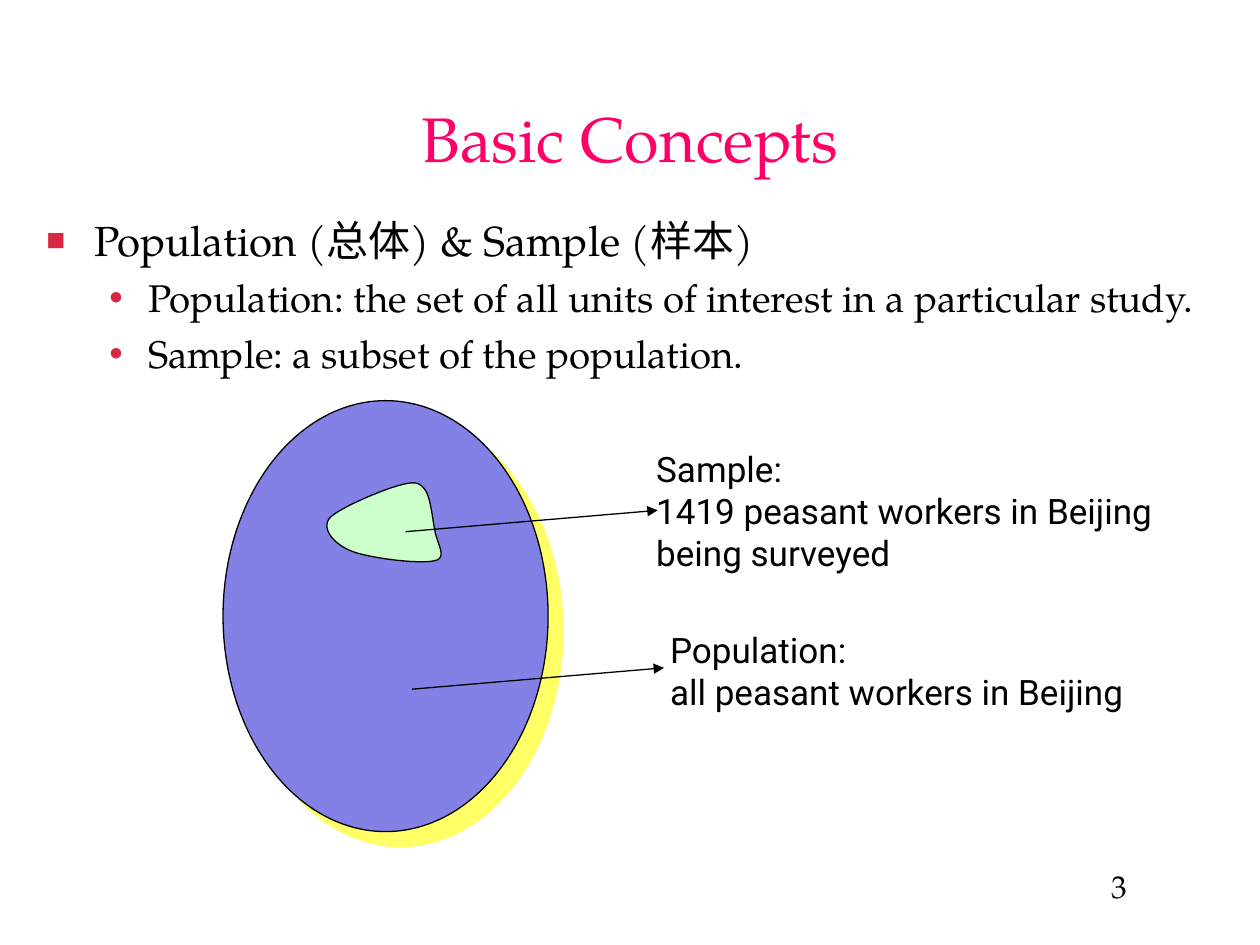
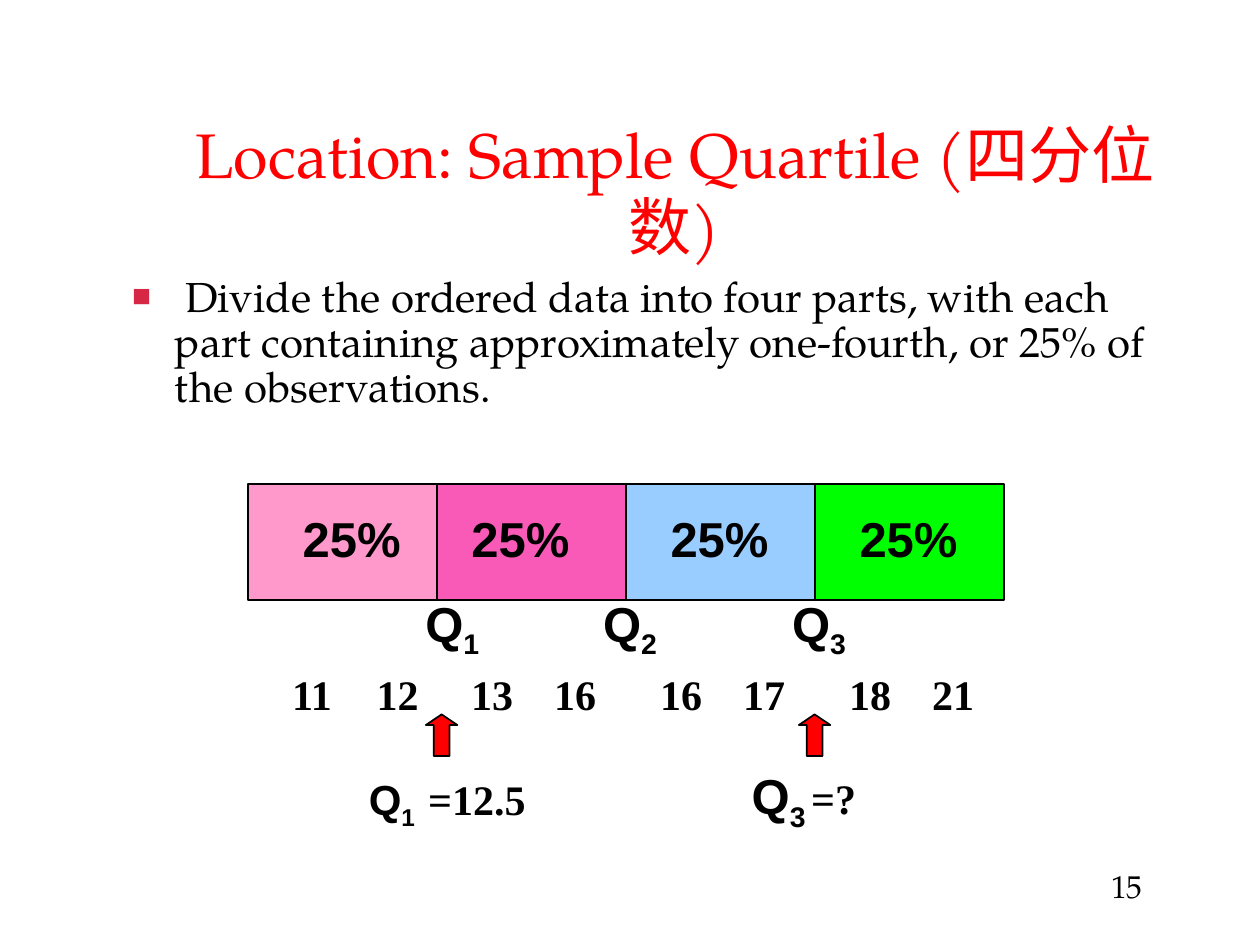
"""Build two statistics slides: basic concepts and sample quartiles."""
from dataclasses import dataclass
from typing import NamedTuple, Optional

from lxml.etree import SubElement
from pptx import Presentation
from pptx.dml.color import RGBColor
from pptx.enum.shapes import MSO_CONNECTOR as Connector, MSO_SHAPE as Preset
from pptx.enum.text import MSO_ANCHOR as Anchor, MSO_AUTO_SIZE as AutoSize, PP_ALIGN as Align
from pptx.oxml.ns import qn
from pptx.util import Emu, Pt

PX = 9144
TITLE_ONLY = 5


@dataclass(frozen=True)
class Theme:
    """Colours, fonts and type sizes of the deck."""
    ink: str = "000000"
    bullet: str = "D62845"
    pink_title: str = "FF0066"
    red: str = "FF0000"
    population: str = "8381E5"
    shadow: str = "FFFF66"
    sample: str = "CCFFCC"
    quarters: tuple = ("FF99CC", "F95AB7", "99CCFF", "00FF00")
    serif: str = "TeX Gyre Pagella"
    sans: str = "Roboto"
    label: str = "Arial"
    data: str = "Times New Roman"
    title_size: int = 36
    lead_size: int = 24
    detail_size: int = 22
    note_size: int = 20
    page_size: int = 18
    quarter_size: int = 28
    thin: float = 0.75
    medium: float = 1


THEME = Theme()


class Box(NamedTuple):
    """A rectangle in px."""
    left: int
    top: int
    width: int
    height: int


class Style(NamedTuple):
    """Type style of a run."""
    font: str
    size: int
    color: str = THEME.ink
    bold: bool = False


class Bullet(NamedTuple):
    """Bullet mark with its text margin and hanging width in px."""
    mark: str
    percent: int
    margin: int
    hang: int


class Para(NamedTuple):
    """A paragraph with an optional subscript run."""
    text: str
    style: Style
    align: Align = Align.LEFT
    subscript: str = ""
    bullet: Optional[Bullet] = None
    before: float = 0
    spacing: Optional[float] = None
    tabs: tuple = ()


class Label(NamedTuple):
    """A text box holding one paragraph."""
    box: Box
    para: Para


BODY = Style(THEME.serif, THEME.lead_size)
DETAIL = Style(THEME.serif, THEME.detail_size)
NOTE = Style(THEME.sans, THEME.note_size)
PAGE = Style(THEME.serif, THEME.page_size)
QUARTER = Style(THEME.label, THEME.quarter_size, bold=True)
SMALL_QUARTILE = Style(THEME.label, THEME.lead_size, bold=True)
DATA = Style(THEME.data, THEME.lead_size, bold=True)


def emu(px: float) -> Emu:
    """Turn px into EMU."""
    return Emu(round(px * PX))


def place(box: Box) -> list:
    """Give a box as EMU lengths."""
    return [emu(length) for length in box]


def add_run(paragraph, text: str, style: Style, subscript: bool = False) -> None:
    """Add one styled run."""
    run = paragraph.add_run()
    run.text = text
    font = run.font
    font.name, font.size, font.bold = style.font, Pt(style.size), style.bold
    font.color.rgb = RGBColor.from_string(style.color)
    if subscript:
        font._element.set("baseline", "-25000")


def add_bullet(properties, bullet: Bullet) -> None:
    """Give a paragraph its hanging bullet."""
    properties.set("marL", str(emu(bullet.margin)))
    properties.set("indent", str(-emu(bullet.hang)))
    color = SubElement(properties, qn("a:buClr"))
    SubElement(color, qn("a:srgbClr"), val=THEME.bullet)
    SubElement(properties, qn("a:buSzPct"), val=str(bullet.percent * 1000))
    SubElement(properties, qn("a:buFont"), typeface=THEME.label)
    SubElement(properties, qn("a:buChar"), char=bullet.mark)


def fill_text(frame, paras: list[Para], inset_y: int = 5, anchor: Anchor = Anchor.TOP) -> None:
    """Write paragraphs into a text frame."""
    frame.word_wrap = True
    frame.auto_size = AutoSize.NONE
    frame.vertical_anchor = anchor
    frame.margin_left = frame.margin_right = emu(10)
    frame.margin_top = frame.margin_bottom = emu(inset_y)
    for index, para in enumerate(paras):
        paragraph = frame.add_paragraph() if index else frame.paragraphs[0]
        properties = paragraph._p.get_or_add_pPr()
        if para.bullet:
            add_bullet(properties, para.bullet)
        if para.tabs:
            stops = SubElement(properties, qn("a:tabLst"))
            for stop in para.tabs:
                SubElement(stops, qn("a:tab"), pos=str(emu(stop)), algn="l")
        paragraph.alignment = para.align
        paragraph.space_before = Pt(para.before)
        if para.spacing:
            paragraph.line_spacing = para.spacing
        add_run(paragraph, para.text, para.style)
        if para.subscript:
            add_run(paragraph, para.subscript, para.style, subscript=True)


def add_text(slide, box: Box, paras: list[Para], inset_y: int = 5) -> None:
    """Add a text box."""
    fill_text(slide.shapes.add_textbox(*place(box)).text_frame, paras, inset_y)


def paint(shape, fill: str, width: float) -> None:
    """Set a flat fill and a black outline."""
    shape.shadow.inherit = False
    shape.fill.solid()
    shape.fill.fore_color.rgb = RGBColor.from_string(fill)
    shape.line.color.rgb = RGBColor.from_string(THEME.ink)
    shape.line.width = Pt(width)


def add_shape(slide, preset: Preset, box: Box, fill: str, width: float):
    """Add a painted preset shape."""
    shape = slide.shapes.add_shape(preset, *place(box))
    paint(shape, fill, width)
    return shape


def add_offset_shadow(shape, color: str, distance: float) -> None:
    """Cast a hard shadow to the lower right."""
    effects = shape._element.spPr.find(qn("a:effectLst"))
    cast = SubElement(effects, qn("a:outerShdw"), dist=str(Pt(distance)),
                      dir="2700000", algn="ctr", rotWithShape="0")
    SubElement(cast, qn("a:srgbClr"), val=color)


def add_arrow(slide, start: tuple[int, int], end: tuple[int, int]) -> None:
    """Add a thin arrow between two points."""
    arrow = slide.shapes.add_connector(
        Connector.STRAIGHT, *[emu(value) for value in (*start, *end)])
    arrow.line.color.rgb = RGBColor.from_string(THEME.ink)
    arrow.line.width = Pt(THEME.thin)
    SubElement(arrow.line._get_or_add_ln(), qn("a:tailEnd"), type="triangle")
    SubElement(arrow._element.spPr, qn("a:effectLst"))


def add_blob(slide, start: tuple, curves: list[tuple], fill: str, steps: int = 12) -> None:
    """Add a closed outline sampled from cubic curves."""
    points = [start]
    for first, second, end in curves:
        origin = points[-1]
        for step in range(1, steps + 1):
            t = step / steps
            weights = ((1 - t) ** 3, 3 * t * (1 - t) ** 2, 3 * t * t * (1 - t), t ** 3)
            knots = (origin, first, second, end)
            points.append(tuple(sum(w * k[axis] for w, k in zip(weights, knots))
                                for axis in (0, 1)))
    outline = [(emu(x), emu(y)) for x, y in points]
    builder = slide.shapes.build_freeform(*outline[0], scale=1.0)
    builder.add_line_segments(outline[1:], close=True)
    paint(builder.convert_to_shape(), fill, THEME.thin)


def add_slide(deck, title: Para, box: Box, number: str, anchor: Anchor, inset_y: int):
    """Add a slide with its title and page number."""
    slide = deck.slides.add_slide(deck.slide_layouts[TITLE_ONLY])
    heading = slide.shapes.title
    heading.left, heading.top, heading.width, heading.height = place(box)
    fill_text(heading.text_frame, [title], inset_y, anchor)
    add_text(slide, Box(872, 683, 110, 46), [Para(number, PAGE)])
    return slide


def build_concepts(deck) -> None:
    """Build the population and sample slide."""
    title = Para("Basic Concepts", Style(THEME.serif, THEME.title_size, THEME.pink_title),
                 Align.CENTER)
    slide = add_slide(deck, title, Box(75, 50, 850, 89), "3", Anchor.BOTTOM, 0)
    population = add_shape(slide, Preset.OVAL, Box(177, 318, 258, 342),
                           THEME.population, THEME.thin)
    add_offset_shadow(population, THEME.shadow, 12.1)
    add_blob(slide, (311, 387), [
        ((299, 391), (267, 404), (261, 412)),
        ((256, 420), (264, 431), (278, 437)),
        ((292, 443), (334, 448), (345, 445)),
        ((356, 443), (346, 430), (345, 420)),
        ((343, 411), (342, 393), (336, 387)),
        ((331, 381), (324, 383), (311, 387)),
    ], THEME.sample)
    dot = Bullet("•", 100, 81, 31)
    definitions = ("Population: the set of all units of interest in a particular study.",
                   "Sample: a subset of the population.")
    add_text(slide, Box(27, 170, 1000, 140), [
        Para("Population (总体) & Sample (样本)", BODY, bullet=Bullet("■", 75, 38, 38)),
        *[Para(text, DETAIL, bullet=dot, before=5.5) for text in definitions],
    ], inset_y=0)
    notes = {
        Box(511, 350, 444, 110): ("Sample:", "1419 peasant workers in Beijing", "being surveyed"),
        Box(522, 494, 420, 110): ("Population:", "all peasant workers in Beijing"),
    }
    for box, lines in notes.items():
        add_text(slide, box, [Para(line, NOTE) for line in lines])
    add_arrow(slide, (322, 422), (522, 405))
    add_arrow(slide, (327, 547), (527, 530))


def build_quartiles(deck) -> None:
    """Build the sample quartile slide."""
    title = Para("Location: Sample Quartile (四分位数)",
                 Style(THEME.serif, THEME.title_size, THEME.red), Align.CENTER, spacing=0.95)
    slide = add_slide(deck, title, Box(122, 91, 827, 125), "15", Anchor.MIDDLE, 5)
    add_text(slide, Box(83, 214, 850, 130), [
        Para(" Divide the ordered data into four parts, with each part containing "
             "approximately one-fourth, or 25% of the observations.",
             BODY, bullet=Bullet("■", 75, 46, 34), spacing=0.9)])
    for index, color in enumerate(THEME.quarters):
        add_shape(slide, Preset.RECTANGLE, Box(197 + 150 * index, 384, 150, 92),
                  color, THEME.medium)
    shares = [Label(Box(left, 399, 102, 56), Para("25%", QUARTER, Align.CENTER))
              for left in (228, 362, 520, 670)]
    cuts = [Label(Box(left, 466, 94, 63), Para("Q", QUARTER, Align.CENTER, str(rank)))
            for rank, left in enumerate((312, 453, 603), 1)]
    stops = (150, 217, 292, 358, 442, 508, 592, 658)
    values = (11, 12, 13, 16, 16, 17, 18, 21)
    observations = Para("".join(f"\t{value}" for value in values), DATA, tabs=stops)
    answers = [
        Label(Box(272, 609, 78, 55), Para("Q", SMALL_QUARTILE, Align.CENTER, "1")),
        Label(Box(330, 609, 117, 50), Para("=12.5", DATA)),
        Label(Box(571, 603, 94, 63), Para("Q", QUARTER, Align.CENTER, "3")),
        Label(Box(634, 608, 117, 50), Para("=?", DATA)),
    ]
    for label in [*shares, *cuts, Label(Box(72, 526, 885, 50), observations), *answers]:
        add_text(slide, label.box, [label.para])
    for left in (338, 634):
        pointer = add_shape(slide, Preset.UP_ARROW, Box(left, 567, 25, 33),
                            THEME.red, THEME.medium)
        pointer.adjustments[0], pointer.adjustments[1] = 0.5, 0.34


def main() -> None:
    """Build and save the deck."""
    deck = Presentation()
    deck.slide_width, deck.slide_height = emu(1000), emu(750)
    build_concepts(deck)
    build_quartiles(deck)
    deck.save("out.pptx")


if __name__ == "__main__":
    main()
